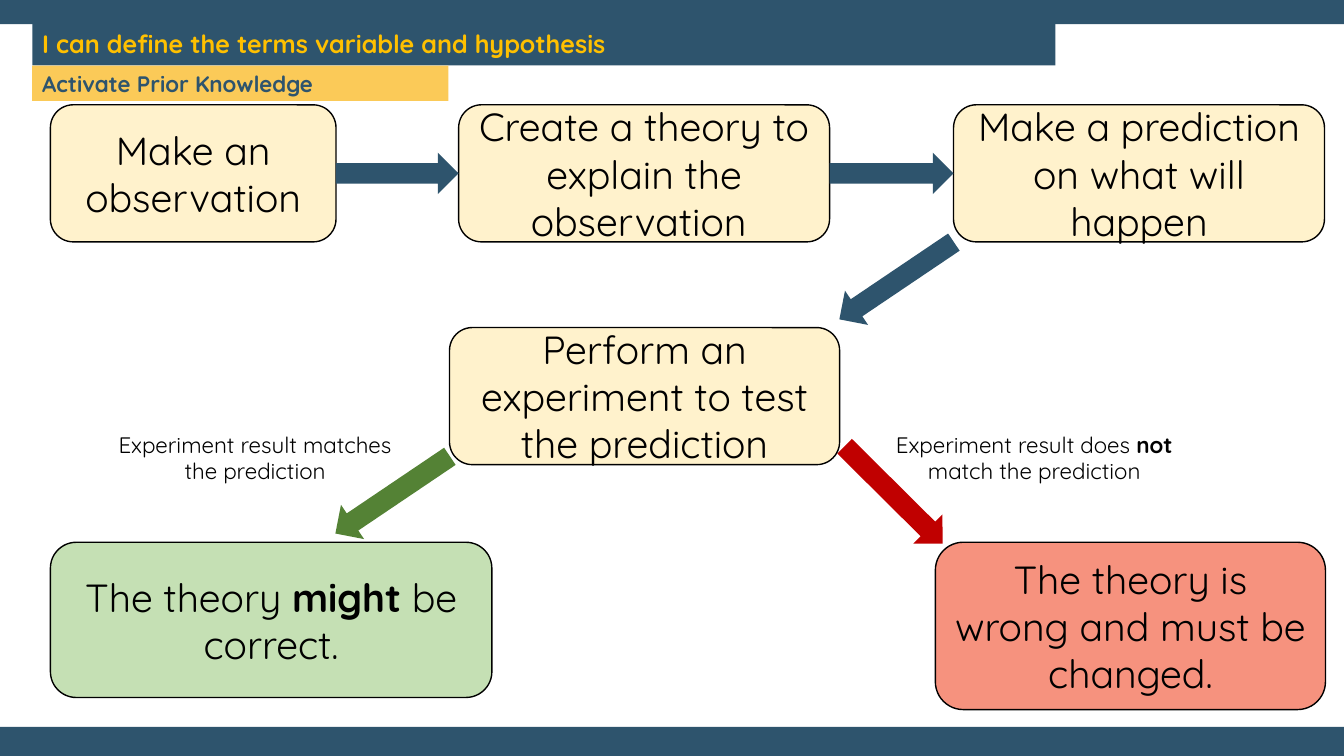
from dataclasses import dataclass

from pptx import Presentation
from pptx.dml.color import RGBColor
from pptx.enum.shapes import MSO_SHAPE
from pptx.enum.text import MSO_ANCHOR, PP_ALIGN
from pptx.util import Inches, Pt

RECT, ROUND, ARROW = MSO_SHAPE.RECTANGLE, MSO_SHAPE.ROUNDED_RECTANGLE, MSO_SHAPE.RIGHT_ARROW
MIDDLE = MSO_ANCHOR.MIDDLE
LEFT, CENTER = PP_ALIGN.LEFT, PP_ALIGN.CENTER

# Grid of square cells over the slide
COLS, ROWS = 160, 90
WIDE, HIGH = Inches(40 / 3), Inches(7.5)


@dataclass(frozen=True)
class Theme:
    font: str = "Quicksand"
    navy: str = "2E546D"
    gold: str = "FBCA58"
    amber: str = "FFC000"
    cream: str = "FFF2CC"
    mint: str = "C5E0B4"
    coral: str = "F6927E"
    green: str = "548235"
    red: str = "C00000"
    white: str = "FFFFFF"
    black: str = "000000"
    step: int = 28
    title: int = 18
    note: int = 16
    edge: int = 1


@dataclass(frozen=True)
class Box:
    x: float
    y: float
    w: float
    h: float

    def sub(self, x, y, w, h):
        """Box given by its offset from this one."""
        return Box(self.x + x, self.y + y, w, h)

    def emu(self):
        cell_w, cell_h = WIDE / COLS, HIGH / ROWS
        return (round(self.x * cell_w), round(self.y * cell_h),
                round(self.w * cell_w), round(self.h * cell_h))


THEME = Theme()
STEP_H = 16.32
ARROW_W, ARROW_H = 16.44, 4.92


def draw(slide, kind, box, fill, line=None):
    shape = slide.shapes.add_shape(kind, *box.emu())
    shape.shadow.inherit = False
    shape.fill.solid()
    shape.fill.fore_color.rgb = RGBColor.from_string(fill)
    if line:
        shape.line.color.rgb = RGBColor.from_string(line)
        shape.line.width = Pt(THEME.edge)
    else:
        shape.line.fill.background()
    return shape


def write(shape, text, size, color=THEME.black, align=CENTER, bold=False):
    """Fill a shape with text; parts between asterisks are bold."""
    frame = shape.text_frame
    frame.word_wrap = True
    frame.vertical_anchor = MIDDLE
    para = frame.paragraphs[0]
    para.alignment = align
    for index, part in enumerate(text.split("*")):
        run = para.add_run()
        run.text = part
        style = {"name": THEME.font, "size": Pt(size), "bold": bold or index % 2 == 1}
        for key, value in style.items():
            setattr(run.font, key, value)
        run.font.color.rgb = RGBColor.from_string(color)
    return para


def card(slide, box, text, fill=THEME.cream):
    write(draw(slide, ROUND, box, fill, THEME.black), text, THEME.step)


def label(slide, box, text):
    shape = slide.shapes.add_textbox(*box.emu())
    write(shape, text, THEME.note)
    shape.text_frame.margin_left = shape.text_frame.margin_right = Inches(0.17)


def slant(slide, box, x, y, angle, fill):
    """Turned arrow centred on x, y within the box."""
    place = box.sub(x - ARROW_W / 2, y - ARROW_H / 2, ARROW_W, ARROW_H)
    draw(slide, ARROW, place, fill).rotation = angle


def bands(slide, box):
    edge = 2.88
    draw(slide, RECT, box.sub(0, 0, box.w, edge), THEME.navy)
    draw(slide, RECT, box.sub(0, box.h - 3.48, box.w, 3.48), THEME.navy)


def header(slide, box):
    top = 4.92
    title = draw(slide, RECT, box.sub(0, 0, box.w, top), THEME.navy)
    para = write(title, "I can define the terms variable and hypothesis",
                 THEME.title, THEME.amber, LEFT, True)
    para.line_spacing = 0.9
    tag = draw(slide, RECT, box.sub(0, top, 49.56, box.h - top), THEME.gold)
    write(tag, "Activate Prior Knowledge", THEME.note, THEME.navy, LEFT, True)


def steps(slide, box):
    """Row of cards, with an arrow across each gap."""
    row = [
        (0, 34, "Make an observation"),
        (48.6, 44.16, "Create a theory to explain the observation "),
        (107.52, 44.16, "Make a prediction on what will happen"),
    ]
    for x, w, text in row:
        card(slide, box.sub(x, 0, w, box.h), text)
    for (x, w, _), (after, _, _) in zip(row, row[1:]):
        place = box.sub(x + w, (box.h - ARROW_H) / 2, after - x - w, ARROW_H)
        draw(slide, ARROW, place, THEME.navy)


def trial(slide, box):
    card(slide, box, "Perform an experiment to test the prediction")
    slant(slide, box, 53.22, -5.58, 146, THEME.navy)


def results(slide, box):
    """Both outcomes, each with its arrow and label."""
    top = 18.24
    ends = [
        (0, 52.56, 18.48, THEME.mint, "The theory *might* be correct.",
         40.74, 146, THEME.green, 4.44, "Experiment result matches the prediction"),
        (105.36, 46.44, 19.92, THEME.coral, "The theory is wrong and must be changed.",
         100.38, 44.8, THEME.red, 97.2, "Experiment result does *not* match the prediction"),
    ]
    for x, w, h, fill, text, mid, angle, color, side, note in ends:
        card(slide, box.sub(x, top, w, h), text, fill)
        slant(slide, box, mid, 12.6, angle, color)
        label(slide, box.sub(side, 0, 39.84, STEP_H), note)


def main():
    deck = Presentation()
    deck.slide_width, deck.slide_height = WIDE, HIGH
    slide = deck.slides.add_slide(deck.slide_layouts[6])
    slide.background.fill.solid()
    slide.background.fill.fore_color.rgb = RGBColor.from_string(THEME.white)
    bands(slide, Box(0, 0, COLS, ROWS))
    header(slide, Box(3.84, 2.88, 121.8, 9.12))
    steps(slide, Box(6, 12.48, 151.68, STEP_H))
    trial(slide, Box(53.52, 39, 46.44, STEP_H))
    results(slide, Box(6, 46.32, 151.8, 38.16))
    deck.save("out.pptx")


if __name__ == "__main__":
    main()
